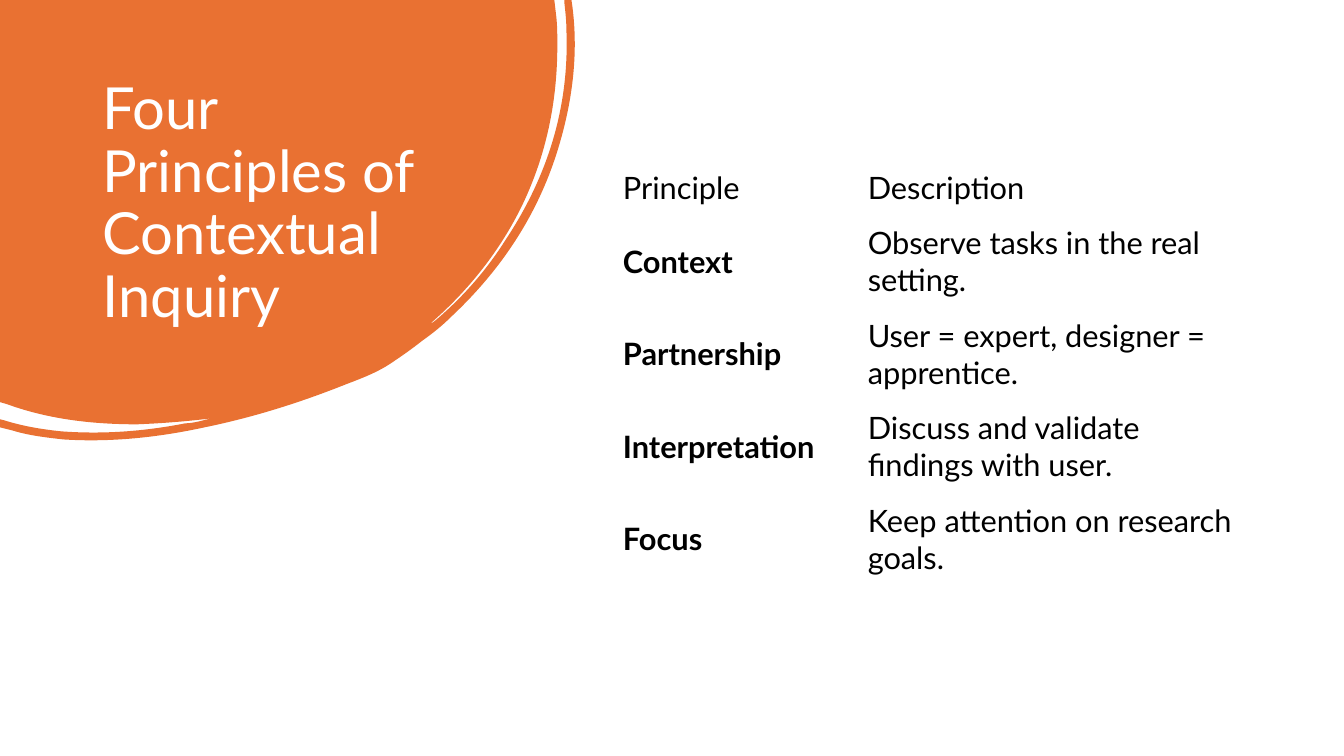
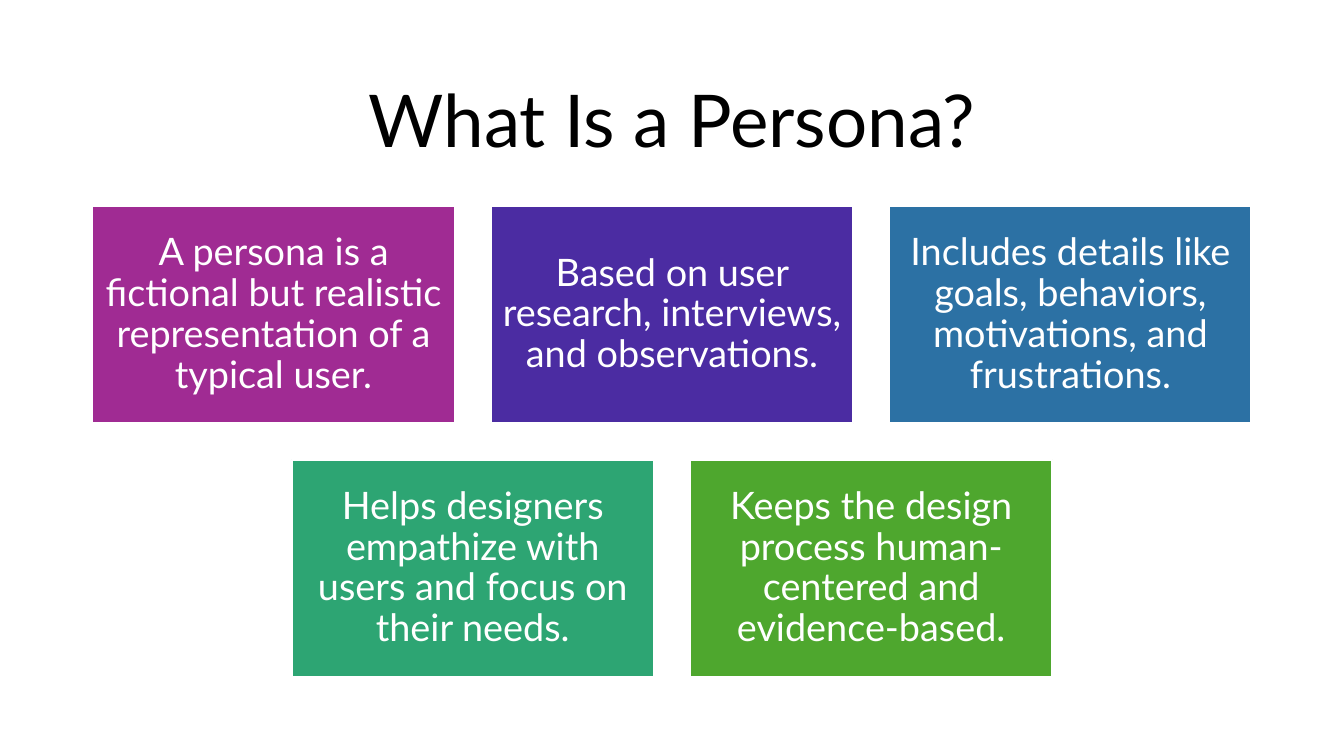
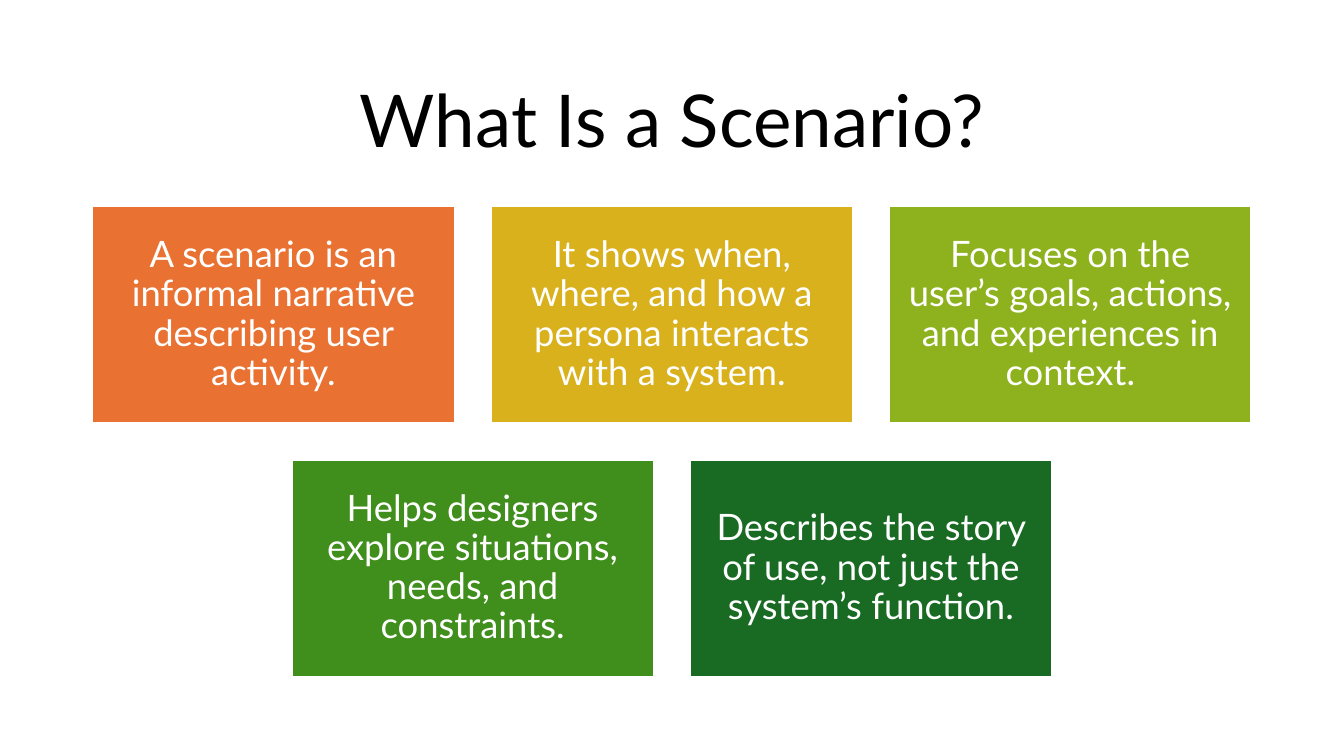
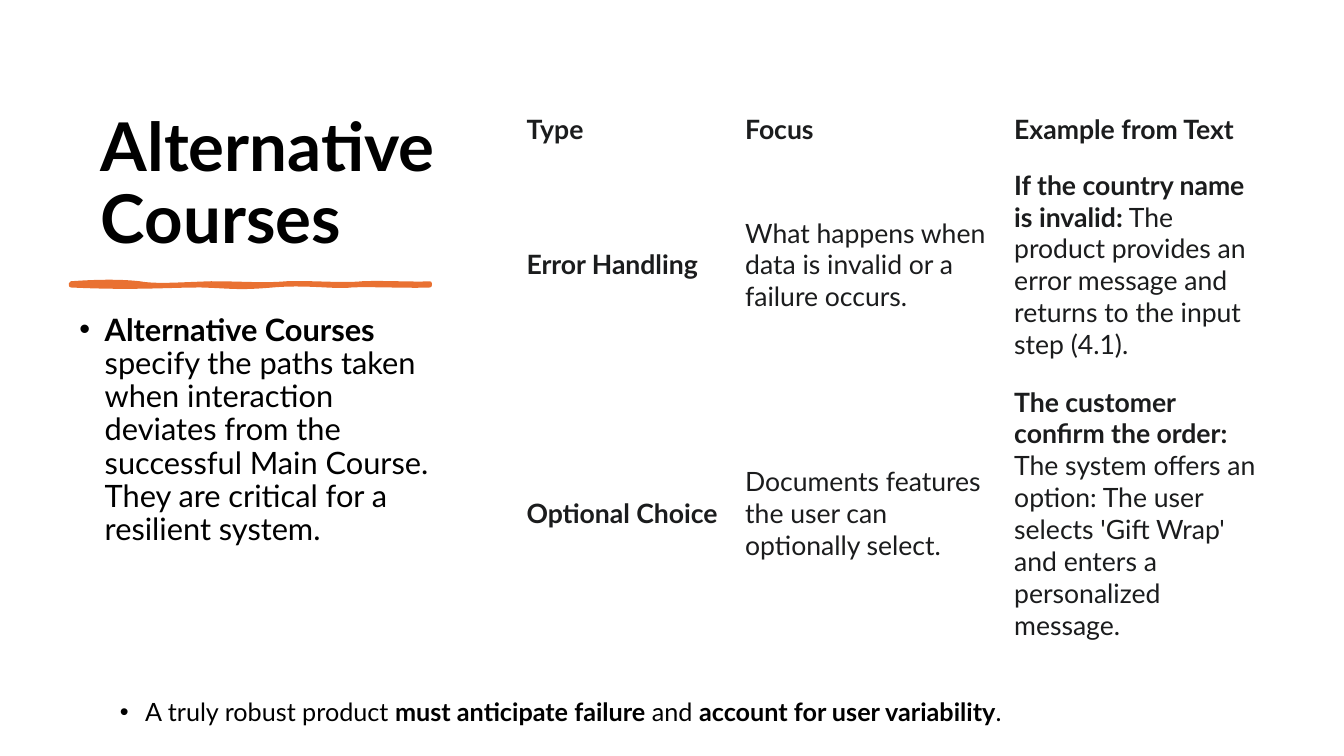
from lxml import etree
from pptx import Presentation
from pptx.dml.color import RGBColor
from pptx.enum import shapes, text
from pptx.oxml import ns
from pptx.util import Cm, Pt

FONT = "Lato"
WHITE = RGBColor(0xFF, 0xFF, 0xFF)
BLACK = RGBColor(0, 0, 0)
INK = RGBColor(0x1B, 0x1C, 0x1D)
ORANGE = RGBColor(0xE9, 0x71, 0x32)
PLUM = RGBColor(0xA0, 0x2B, 0x93)
VIOLET = RGBColor(0x4B, 0x2C, 0xA2)
BLUE = RGBColor(0x2C, 0x71, 0xA4)
TEAL = RGBColor(0x2D, 0xA5, 0x73)
GREEN = RGBColor(0x4E, 0xA7, 0x2E)
GOLD = RGBColor(0xD8, 0xB1, 0x1D)
LIME = RGBColor(0x8E, 0xB2, 0x1E)
LEAF = RGBColor(0x40, 0x8E, 0x1C)
PINE = RGBColor(0x19, 0x6B, 0x24)

ALIGN = text.PP_ALIGN
ANCHOR = text.MSO_ANCHOR
UNIT = Cm(0.0254)

BLOB = [
    (0, 0), (550, 0), (552, 17),
    (553, 26, 553, 36, 553, 45), (553, 101, 542, 154, 518, 204),
    (496, 249, 465, 288, 427, 321), (429, 321, 430, 319, 432, 318),
    (459, 295, 482, 269, 501, 239), (543, 176, 565, 107, 562, 30),
    (562, 21, 561, 12, 560, 3), (560, 0), (567, 0), (568, 7),
    (574, 54, 568, 102, 553, 150), (533, 214, 497, 268, 448, 314),
    (439, 323, 429, 331, 419, 338), (409, 346, 399, 353, 387, 361),
    (375, 369, 360, 375, 344, 381), (299, 399, 252, 414, 203, 424),
    (157, 434, 110, 439, 63, 436), (45, 434, 28, 432, 12, 427),
    (0, 424), (0, 416), (4, 417),
    (23, 423, 42, 426, 61, 428), (103, 431, 143, 428, 184, 420),
    (189, 420, 193, 419, 198, 418), (202, 417, 206, 416, 210, 415),
    (186, 418, 161, 420, 136, 421), (92, 421, 48, 416, 7, 401), (0, 399),
]
BRUSH = [
    (0, 0),
    (27, -2, 51, -2, 68, 0), (85, 3, 107, 1, 139, 0),
    (171, 0, 190, 2, 214, 0), (238, -1, 269, 2, 289, 0),
    (309, -1, 342, 1, 356, 0), (356, 1, 356, 2, 356, 2),
    (338, 3, 294, 1, 278, 2), (262, 4, 234, -1, 200, 2),
    (165, 5, 161, 3, 129, 2), (96, 2, 62, 5, 0, 2),
]


def bend(line, part):
    curve = etree.Element(ns.qn("a:cubicBezTo"))
    for x, y in zip(part[::2], part[1::2]):
        point = etree.SubElement(curve, ns.qn("a:pt"))
        point.set("x", str(x * UNIT))
        point.set("y", str(y * UNIT))
    line.getparent().replace(line, curve)


def outline(slide, parts, left, top, width, height, line=0):
    ends = [part[-2:] for part in parts]
    form = slide.shapes.build_freeform(*ends[0], scale=UNIT)
    form.add_line_segments(ends[1:], close=True)
    shape = form.convert_to_shape(Cm(left), Cm(top))
    shape.width, shape.height = width * UNIT, height * UNIT
    track = next(shape.element.iter(ns.qn("a:path")))
    for point in track.iter(ns.qn("a:pt")):
        for axis in "xy":
            point.set(axis, str(int(point.get(axis)) * UNIT))
    track.set("w", str(width * UNIT))
    track.set("h", str(height * UNIT))
    for node, part in zip(track.findall(ns.qn("a:lnTo")), parts[1:]):
        if len(part) == 6:
            bend(node, part)
    shape.shadow.inherit = False
    paint(shape, ORANGE, ORANGE, line)
    return shape


def paint(shape, fill, line, width):
    shape.fill.solid()
    shape.fill.fore_color.rgb = fill
    if width:
        shape.line.color.rgb = line
        shape.line.width = Pt(width)
    else:
        shape.line.fill.background()


def write(par, words, size, color, bold=False):
    parts = words.split("*")
    for i, part in enumerate(parts):
        if part:
            run = par.add_run()
            run.text = part
            if len(parts) > 1:
                run.font.bold = i % 2 == 1
    font = par.font
    font.name, font.size = FONT, Pt(size)
    font.color.rgb = color
    if len(parts) == 1:
        font.bold = bold


def start(deck, words, box, size, color=BLACK, align=ALIGN.LEFT,
          anchor=ANCHOR.MIDDLE, bold=False):
    slide = deck.slides.add_slide(deck.slide_layouts[5])
    title = slide.shapes.title
    title.left, title.top, title.width, title.height = map(Cm, box)
    frame = title.text_frame
    frame.auto_size = text.MSO_AUTO_SIZE.NONE
    frame.word_wrap = True
    frame.vertical_anchor = anchor
    par = frame.paragraphs[0]
    par.alignment, par.line_spacing = align, 0.9
    write(par, words, size, color, bold)
    return slide


def grid(slide, rows, left, top, widths, heights, size, color, pad, head):
    table = slide.shapes.add_table(
        len(rows), len(widths), Cm(left), Cm(top),
        Cm(sum(widths)), Cm(sum(heights))).table
    table.first_row = table.horz_banding = False
    for col, width in zip(table.columns, widths):
        col.width = Cm(width)
    for i, (row, height) in enumerate(zip(rows, heights)):
        table.rows[i].height = Cm(height)
        for j, words in enumerate(row):
            cell = table.cell(i, j)
            cell.fill.background()
            cell.vertical_anchor = ANCHOR.MIDDLE
            cell.margin_left = cell.margin_right = Cm(pad[0])
            cell.margin_top = cell.margin_bottom = Cm(pad[1])
            bold = head if i == 0 else j == 0
            write(cell.text_frame.paragraphs[0], words, size, color, bold)


def bullet(slide, words, box, size, spacing=1.0):
    frame = slide.shapes.add_textbox(*map(Cm, box)).text_frame
    frame.word_wrap = True
    par = frame.paragraphs[0]
    par.line_spacing = spacing
    props = par._p.get_or_add_pPr()
    props.set("marL", str(Cm(0.64)))
    props.set("indent", str(-Cm(0.64)))
    etree.SubElement(props, ns.qn("a:buFont")).set("typeface", "Arial")
    etree.SubElement(props, ns.qn("a:buChar")).set("char", "•")
    write(par, words, size, BLACK)


def card(slide, words, fill, size, left, top, width, height):
    shape = slide.shapes.add_shape(
        shapes.MSO_SHAPE.RECTANGLE, Cm(left), Cm(top), Cm(width), Cm(height))
    shape.shadow.inherit = False
    paint(shape, fill, WHITE, 1.5)
    frame = shape.text_frame
    frame.word_wrap = True
    frame.vertical_anchor = ANCHOR.MIDDLE
    frame.margin_left = frame.margin_right = Cm(0.28)
    frame.margin_top = frame.margin_bottom = Cm(0.28)
    par = frame.paragraphs[0]
    par.alignment, par.line_spacing = ALIGN.CENTER, 0.9
    write(par, words, size, WHITE)


def cards(slide, items, size, left, top, span, cols=3):
    width = span / (cols + 0.1 * (cols - 1))
    height, gap = 0.6 * width, 0.1 * width
    for first in range(0, len(items), cols):
        row = items[first:first + cols]
        used = len(row) * (width + gap) - gap
        x = left + (span - used) / 2
        y = top + first // cols * (height + gap)
        for i, (words, fill) in enumerate(row):
            card(slide, words, fill, size, x + i * (width + gap), y,
                 width, height)


def topic(deck, words, items, size):
    slide = start(deck, words, (2.33, 1.55, 29.21, 3.15), 52,
                  align=ALIGN.CENTER)
    cards(slide, items, size, 2.33, 5.19, 29.21)


def inquiry(deck):
    slide = start(deck, "Four Principles of Contextual Inquiry",
                  (2.33, 1.88, 8.94, 5.64), 41.4, WHITE, anchor=ANCHOR.TOP)
    blob = outline(slide, BLOB, 0, 0, 571, 437)
    slide.shapes.title.element.addprevious(blob.element)
    rows = [
        ("Principle", "Description"),
        ("Context", "Observe tasks in the real setting."),
        ("Partnership", "User = expert, designer = apprentice."),
        ("Interpretation", "Discuss and validate findings with user."),
        ("Focus", "Keep attention on research goals."),
    ]
    grid(slide, rows, 15.4, 4.03, [6.17, 9.98], [1.39] + [2.33] * 4,
         22, BLACK, (0.3, 0.15), False)


def courses(deck):
    slide = start(deck, "Alternative Courses", (2.29, 3.76, 9.53, 4.78), 48,
                  anchor=ANCHOR.BOTTOM, bold=True)
    slide.shapes.title.text_frame.margin_bottom = Cm(2.03)
    outline(slide, BRUSH, 1.79, 7.14, 356, 2, 3)
    bullet(slide, "*Alternative Courses* specify the paths taken when "
           "interaction deviates from the successful Main Course. They are "
           "critical for a resilient system.",
           (1.75, 7.8, 9.53, 9.47), 22, 0.9)
    bullet(slide, "A truly robust product *must anticipate failure* and "
           "*account for user variability*.", (2.77, 17.42, 23.16, 1.02), 18)
    rows = [
        ("Type", "Focus", "Example from Text"),
        ("Error Handling",
         "What happens when data is invalid or a failure occurs.",
         "*If the country name is invalid:* The product provides an error "
         "message and returns to the input step (4.1)."),
        ("Optional Choice",
         "Documents features the user can optionally select.",
         "*The customer confirm the order: *The system offers an option: "
         "The user selects 'Gift Wrap' and enters a personalized message."),
    ]
    grid(slide, rows, 12.94, 2.57, [5.51, 6.78, 6.88], [1.37, 5.46, 7.08],
         19, INK, (0.33, 0.23), True)


def main():
    deck = Presentation()
    deck.slide_width, deck.slide_height = Cm(33.87), Cm(19.05)
    inquiry(deck)
    topic(deck, "What Is a Persona?", [
        ("A persona is a fictional but realistic representation of a "
         "typical user.", PLUM),
        ("Based on user research, interviews, and observations.", VIOLET),
        ("Includes details like goals, behaviors, motivations, and "
         "frustrations.", BLUE),
        ("Helps designers empathize with users and focus on their needs.",
         TEAL),
        ("Keeps the design process human-centered and evidence-based.",
         GREEN),
    ], 27)
    topic(deck, "What Is a Scenario?", [
        ("A scenario is an informal narrative describing user activity.",
         ORANGE),
        ("It shows when, where, and how a persona interacts with a system.",
         GOLD),
        ("Focuses on the user’s goals, actions, and experiences in context.",
         LIME),
        ("Helps designers explore situations, needs, and constraints.", LEAF),
        ("Describes the story of use, not just the system’s function.", PINE),
    ], 26)
    courses(deck)
    deck.save("out.pptx")


if __name__ == "__main__":
    main()
